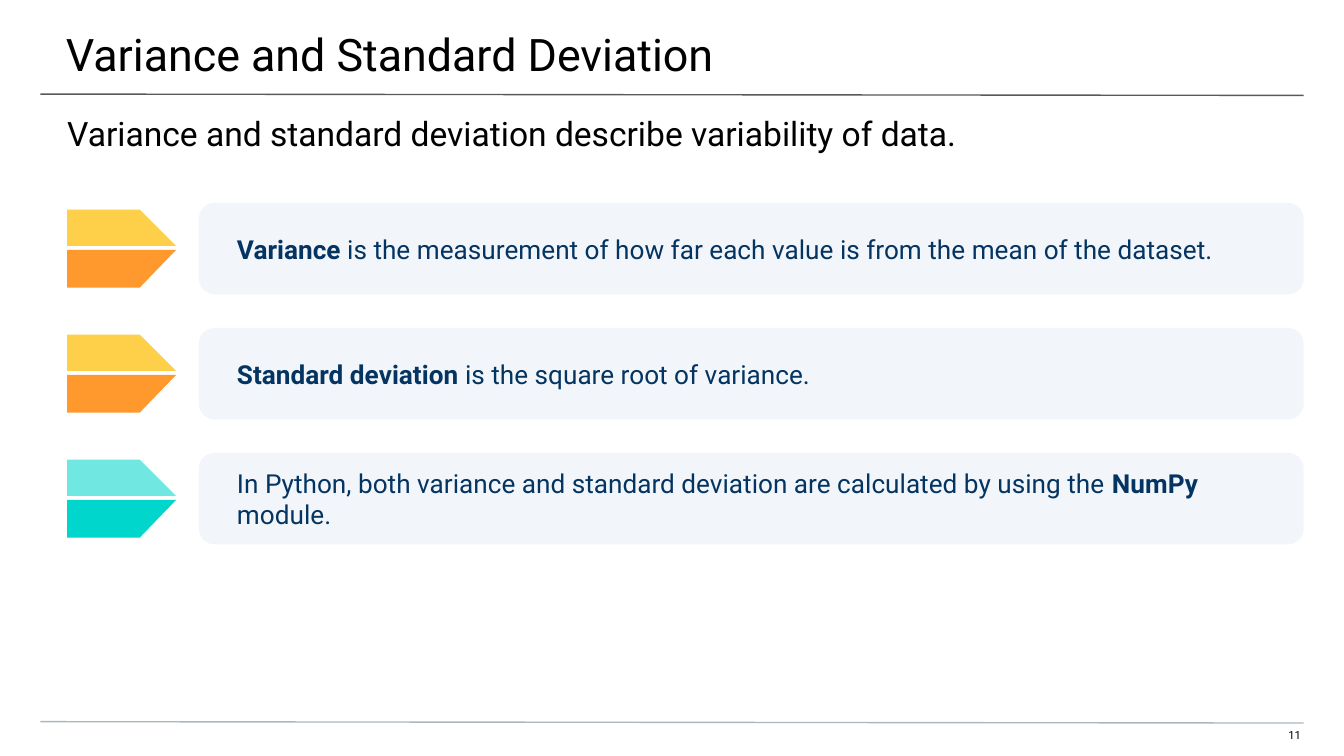
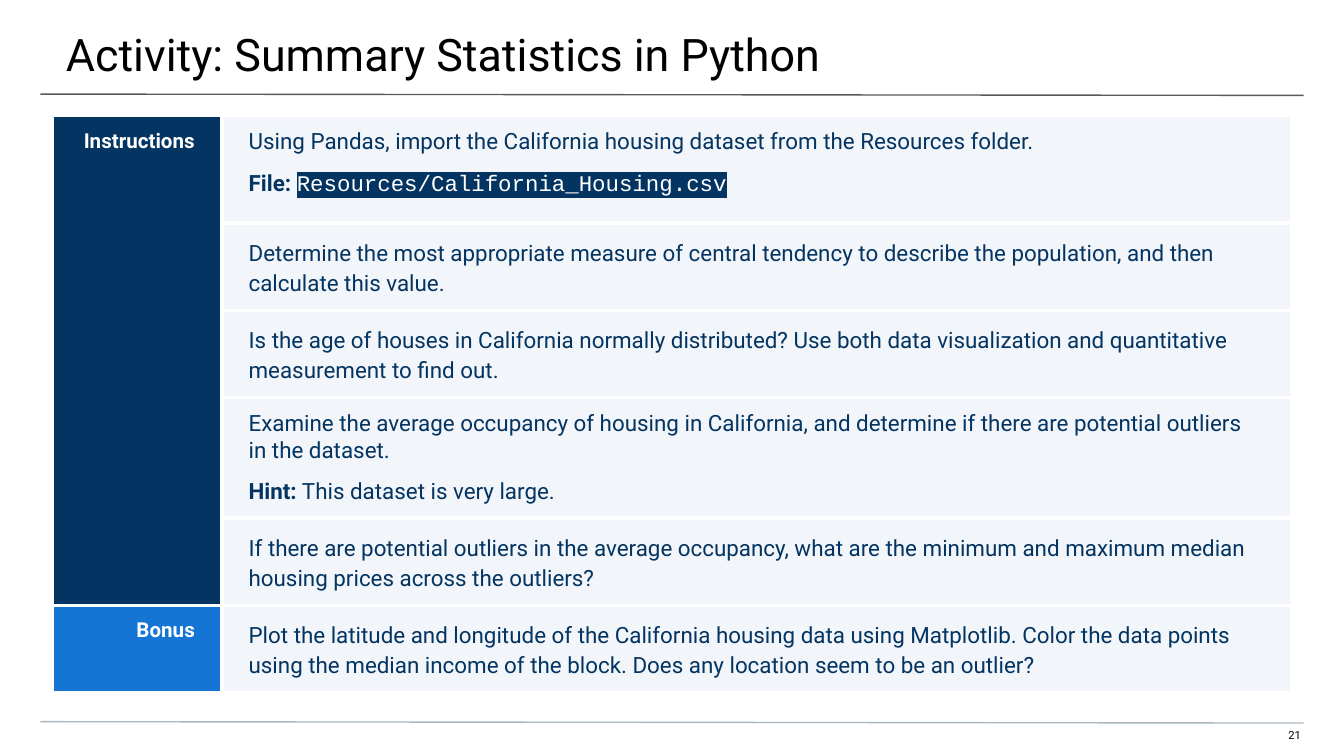
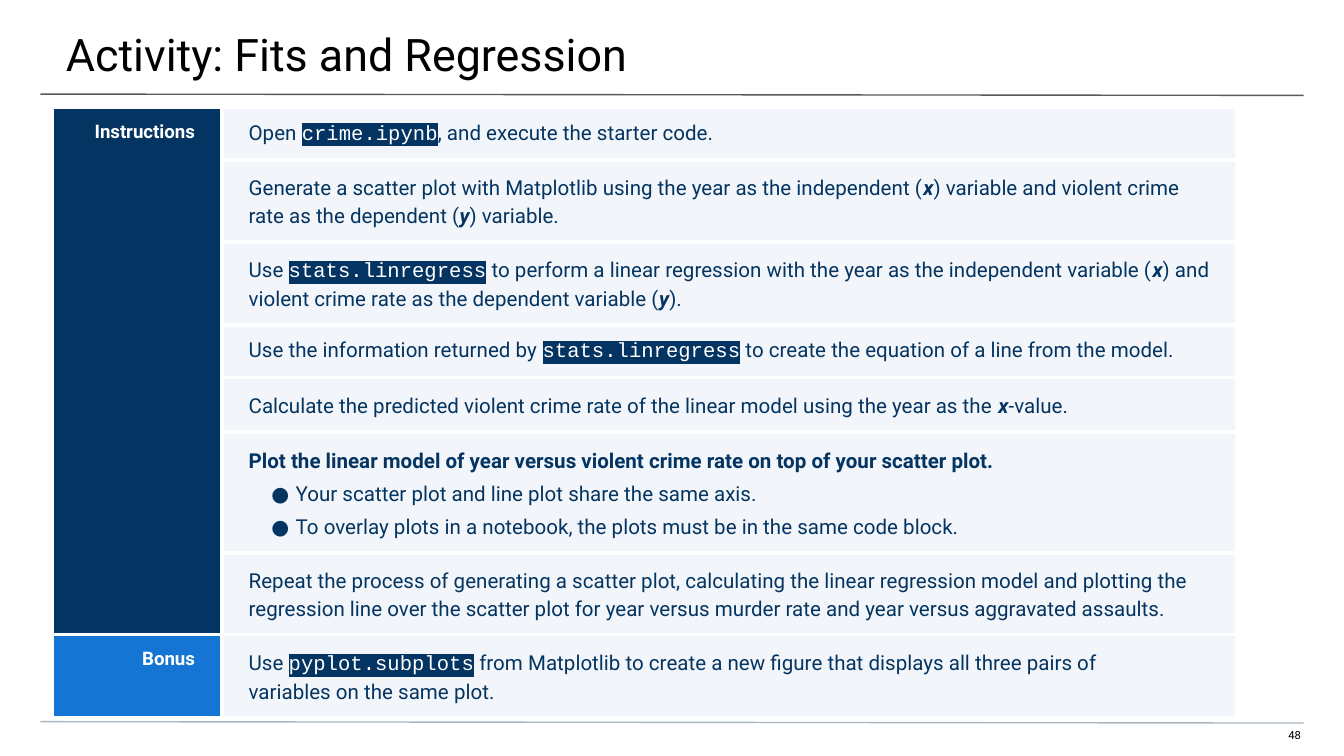
from dataclasses import dataclass
import lxml.etree
import pptx
import pptx.dml.color
import pptx.enum.shapes
import pptx.enum.text
import pptx.oxml.ns
import pptx.util

Inches = pptx.util.Inches
Pt = pptx.util.Pt
ALIGN = pptx.enum.text.PP_ALIGN
ANCHOR = pptx.enum.text.MSO_ANCHOR
qn = pptx.oxml.ns.qn


@dataclass(frozen=True)
class Theme:
    font: str = "Roboto"
    code_font: str = "Courier New"
    black: str = "000000"
    white: str = "FFFFFF"
    navy: str = "043461"
    blue: str = "1475D4"
    panel: str = "F2F5F9"
    yellow: str = "FECF48"
    orange: str = "FF992D"
    teal: str = "00D6CB"
    title_rule: str = "595959"
    footer_rule: str = "A9B7C0"
    title_size: float = 24
    subtitle_size: float = 18
    card_size: float = 14
    number_size: float = 6
    rule_width: float = 0.75
    border_width: float = 2.25


THEME = Theme()


@dataclass
class Para:
    """Runs are plain strings or (style, text); styles are bold, term and code."""
    runs: list
    spacing: float = 1.0
    before: float = 0
    after: float = 0
    bullet: bool = False
    align: int = ALIGN.LEFT


def rgb(color):
    return pptx.dml.color.RGBColor.from_string(color)


def add_color(parent, tag, color):
    holder = lxml.etree.SubElement(parent, qn(tag))
    lxml.etree.SubElement(holder, qn("a:srgbClr"), val=color)
    return holder


def add_run(paragraph, text, style, size, color):
    run = paragraph.add_run()
    run.text = text
    font = run.font
    font.size = Pt(size)
    font.bold = style in ("bold", "term")
    font.italic = style == "term"
    is_code = style == "code"
    font.color.rgb = rgb(THEME.white if is_code else color)
    font.name = THEME.code_font if is_code else THEME.font
    if is_code:
        properties = font._element
        highlight = add_color(properties, "a:highlight", THEME.navy)
        properties.find(qn("a:solidFill")).addnext(highlight)


def add_bullet(paragraph, color):
    properties = paragraph._p.get_or_add_pPr()
    properties.set("marL", str(Inches(0.35)))
    properties.set("indent", str(Inches(-0.18)))
    add_color(properties, "a:buClr", color)
    lxml.etree.SubElement(properties, qn("a:buFont"), typeface=THEME.font)
    lxml.etree.SubElement(properties, qn("a:buChar"), char="●")


def write(frame, paras, size, color):
    for index, para in enumerate(paras):
        paragraph = frame.paragraphs[0] if index == 0 else frame.add_paragraph()
        if para.bullet:
            add_bullet(paragraph, color)
        paragraph.alignment = para.align
        paragraph.line_spacing = para.spacing
        paragraph.space_before = Pt(para.before)
        paragraph.space_after = Pt(para.after)
        for part in para.runs:
            style, text = ("plain", part) if isinstance(part, str) else part
            for line_number, line in enumerate(text.split("\n")):
                if line_number:
                    paragraph.add_line_break()
                add_run(paragraph, line, style, size, color)


def set_frame(frame, insets, anchor=ANCHOR.TOP):
    """Insets are left, top, right and bottom in inches."""
    frame.word_wrap = True
    frame.auto_size = pptx.enum.text.MSO_AUTO_SIZE.NONE
    frame.vertical_anchor = anchor
    (frame.margin_left, frame.margin_top,
     frame.margin_right, frame.margin_bottom) = map(Inches, insets)


def place(shape, left, top, width, height):
    shape.left, shape.top = Inches(left), Inches(top)
    shape.width, shape.height = Inches(width), Inches(height)


def add_rule(slide, top, color):
    rule = slide.shapes.add_connector(
        pptx.enum.shapes.MSO_CONNECTOR.STRAIGHT,
        Inches(0.3), Inches(top), Inches(9.7), Inches(top + 0.01))
    rule.line.color.rgb = rgb(color)
    rule.line.width = Pt(THEME.rule_width)
    lxml.etree.SubElement(rule._element.spPr, qn("a:effectLst"))


def add_slide(deck, layout_index, title, number):
    slide = deck.slides.add_slide(deck.slide_layouts[layout_index])
    heading = slide.shapes.title
    place(heading, -0.01, 0, 10.03, 0.58)
    set_frame(heading.text_frame, (0.5, 0.2, 0.3, 0.1))
    write(heading.text_frame, [Para([title])], THEME.title_size, THEME.black)
    add_rule(slide, 0.7, THEME.title_rule)
    add_rule(slide, 5.37, THEME.footer_rule)
    page = slide.shapes.add_textbox(Inches(9.41), Inches(5.42), Inches(0.29), Inches(0.12))
    set_frame(page.text_frame, (0, 0, 0, 0.1))
    write(page.text_frame, [Para([f"{number} "], align=ALIGN.RIGHT)],
          THEME.number_size, THEME.black)
    return slide


def add_subtitle(slide, text):
    subtitle = slide.placeholders[1]
    place(subtitle, 0, 0.74, 10, 0.4)
    set_frame(subtitle.text_frame, (0.5, 0.1, 0.5, 0))
    write(subtitle.text_frame, [Para([text])], THEME.subtitle_size, THEME.black)


def add_arrow_half(slide, outer, inner, color, opacity=100):
    """Draw half an arrow; outer is the short edge, inner the edge along the tip."""
    left, shoulder, tip = 0.5, 1.04, 1.31
    start, *corners = [(Inches(x), Inches(y)) for x, y in (
        (left, outer), (left, inner), (tip, inner), (shoulder, outer))]
    builder = slide.shapes.build_freeform(*start)
    builder.add_line_segments(corners, close=True)
    half = builder.convert_to_shape()
    half.shadow.inherit = False
    half.fill.solid()
    half.fill.fore_color.rgb = rgb(color)
    half.line.fill.background()
    if opacity < 100:
        value = half._element.spPr.find(qn("a:solidFill")).find(qn("a:srgbClr"))
        lxml.etree.SubElement(value, qn("a:alpha"), val=str(opacity * 1000))


def add_card(slide, top, runs):
    card = slide.shapes.add_shape(
        pptx.enum.shapes.MSO_SHAPE.ROUNDED_RECTANGLE,
        Inches(1.48), Inches(top), Inches(8.22), Inches(0.68))
    card.adjustments[0] = 0.17
    card.shadow.inherit = False
    card.fill.solid()
    card.fill.fore_color.rgb = rgb(THEME.panel)
    card.line.fill.background()
    set_frame(card.text_frame, (0.25, 0.1, 0.1, 0.1), ANCHOR.MIDDLE)
    write(card.text_frame, [Para(runs)], THEME.card_size, THEME.navy)


def add_definition(slide, index, runs, upper, lower, upper_opacity=100):
    top = 1.51 + 0.93 * index
    add_arrow_half(slide, top + 0.05, top + 0.32, upper, upper_opacity)
    add_arrow_half(slide, top + 0.63, top + 0.35, lower)
    add_card(slide, top, runs)


def style_cell(cell, fill):
    cell.margin_left = cell.margin_right = Inches(0.2)
    cell.margin_top = cell.margin_bottom = Inches(0.1)
    cell.vertical_anchor = ANCHOR.TOP
    cell.fill.solid()
    cell.fill.fore_color.rgb = rgb(fill)
    properties = cell._tc.get_or_add_tcPr()
    for position, side in enumerate(("a:lnL", "a:lnR", "a:lnT", "a:lnB")):
        border = lxml.etree.Element(qn(side), w=str(Pt(THEME.border_width)))
        add_color(border, "a:solidFill", THEME.white)
        properties.insert(position, border)


def add_activity_table(slide, top, task_width, row_heights, tasks, size):
    """The last task is the bonus; all others share the instructions label."""
    label_width = 1.26
    table = slide.shapes.add_table(
        len(tasks), 2, Inches(0.39), Inches(top),
        Inches(label_width + task_width), Inches(sum(row_heights))).table
    table.first_row = table.horz_banding = False
    for column, width in zip(table.columns, (label_width, task_width)):
        column.width = Inches(width)
    bonus = len(tasks) - 1
    for index, (height, paras) in enumerate(zip(row_heights, tasks)):
        table.rows[index].height = Inches(height)
        style_cell(table.cell(index, 0), THEME.blue if index == bonus else THEME.navy)
        task = table.cell(index, 1)
        style_cell(task, THEME.panel)
        write(task.text_frame, paras, size, THEME.navy)
    table.cell(0, 0).merge(table.cell(bonus - 1, 0))
    for index, label in ((0, "Instructions"), (bonus, "Bonus")):
        write(table.cell(index, 0).text_frame,
              [Para([("bold", label)], align=ALIGN.RIGHT)], size - 1, THEME.white)


def loose(*runs, **spacing):
    return Para(list(runs), spacing=1.15, **spacing)


def build_variance(deck):
    slide = add_slide(deck, 0, "Variance and Standard Deviation", 11)
    add_subtitle(slide, "Variance and standard deviation describe variability of data.")
    warm = (THEME.yellow, THEME.orange)
    cool = (THEME.teal, THEME.teal, 56)
    definitions = [
        ([("bold", "Variance"),
          " is the measurement of how far each value is from the mean of the dataset."], warm),
        ([("bold", "Standard deviation "), "is the square root of variance."], warm),
        (["In Python, both variance and standard deviation are calculated by using the ",
          ("bold", "NumPy"), " module."], cool),
    ]
    for index, (runs, colors) in enumerate(definitions):
        add_definition(slide, index, runs, *colors)


def build_summary_activity(deck):
    slide = add_slide(deck, 5, "Activity: Summary Statistics in Python", 21)
    tasks = [
        [Para(["Using Pandas, import the California housing dataset from the Resources folder."]),
         Para([("bold", "File: "), ("code", "Resources/California_Housing.csv")], before=8)],
        [loose("Determine the most appropriate measure of central tendency to describe "
               "the population, and then calculate this value.")],
        [loose("Is the age of houses in California normally distributed? Use both data "
               "visualization and quantitative measurement to find out.")],
        [Para(["Examine the average occupancy of housing in California, and determine if "
               "there are potential outliers in the dataset."]),
         Para([("bold", "Hint:"), " This dataset is very large."], before=8)],
        [loose("If there are potential outliers in the average occupancy, what are the "
               "minimum and maximum median housing prices across the outliers?")],
        [loose("Plot the latitude and longitude of the California housing data using "
               "Matplotlib. Color the data points using the median income of the block. "
               "Does any location seem to be an outlier?")],
    ]
    add_activity_table(slide, 0.86, 7.96, [0.8, 0.41, 0.41, 0.41, 0.41, 0.53], tasks, 12)


def build_regression_activity(deck):
    slide = add_slide(deck, 5, "Activity: Fits and Regression", 48)
    x, y = ("term", "x"), ("term", "y")
    linregress = ("code", "stats.linregress")
    tasks = [
        [Para(["Open ", ("code", "crime.ipynb"), ", and execute the starter code."])],
        [loose("Generate a scatter plot with Matplotlib using the year as the independent (", x,
               ") variable and violent crime rate as the dependent (", y, ") variable.")],
        [loose("Use ", linregress,
               " to perform a linear regression with the year as the independent variable (", x,
               ") and violent crime rate as the dependent variable (", y, ").")],
        [Para(["Use the information returned by ", linregress,
               " to create the equation of a line from the model."])],
        [loose("Calculate the predicted violent crime rate of the linear model using the "
               "year as the ", x, "-value.")],
        [loose(("bold", "Plot the linear model of year versus violent crime rate on top of "
                        "your scatter plot.")),
         loose("Your scatter plot and line plot share the same axis.", before=3, bullet=True),
         loose("To overlay plots in a notebook, the plots must be in the same code block.",
               before=3, bullet=True)],
        [loose("Repeat the process of generating a scatter plot, calculating the linear "
               "regression model and plotting the regression line over the scatter plot for "
               "year versus murder rate and year versus aggravated assaults.", after=3)],
        [loose("Use ", ("code", "pyplot.subplots"),
               " from Matplotlib to create a new figure that displays all three pairs of \n"
               "variables on the same plot.")],
    ]
    row_heights = [0.24, 0.41, 0.39, 0.21, 0.13, 0.72, 0.49, 0.53]
    add_activity_table(slide, 0.8, 7.55, row_heights, tasks, 11)


def main():
    deck = pptx.Presentation()
    deck.slide_width = Inches(10)
    deck.slide_height = deck.slide_width * 9 // 16
    build_variance(deck)
    build_summary_activity(deck)
    build_regression_activity(deck)
    deck.save("out.pptx")


if __name__ == "__main__":
    main()
